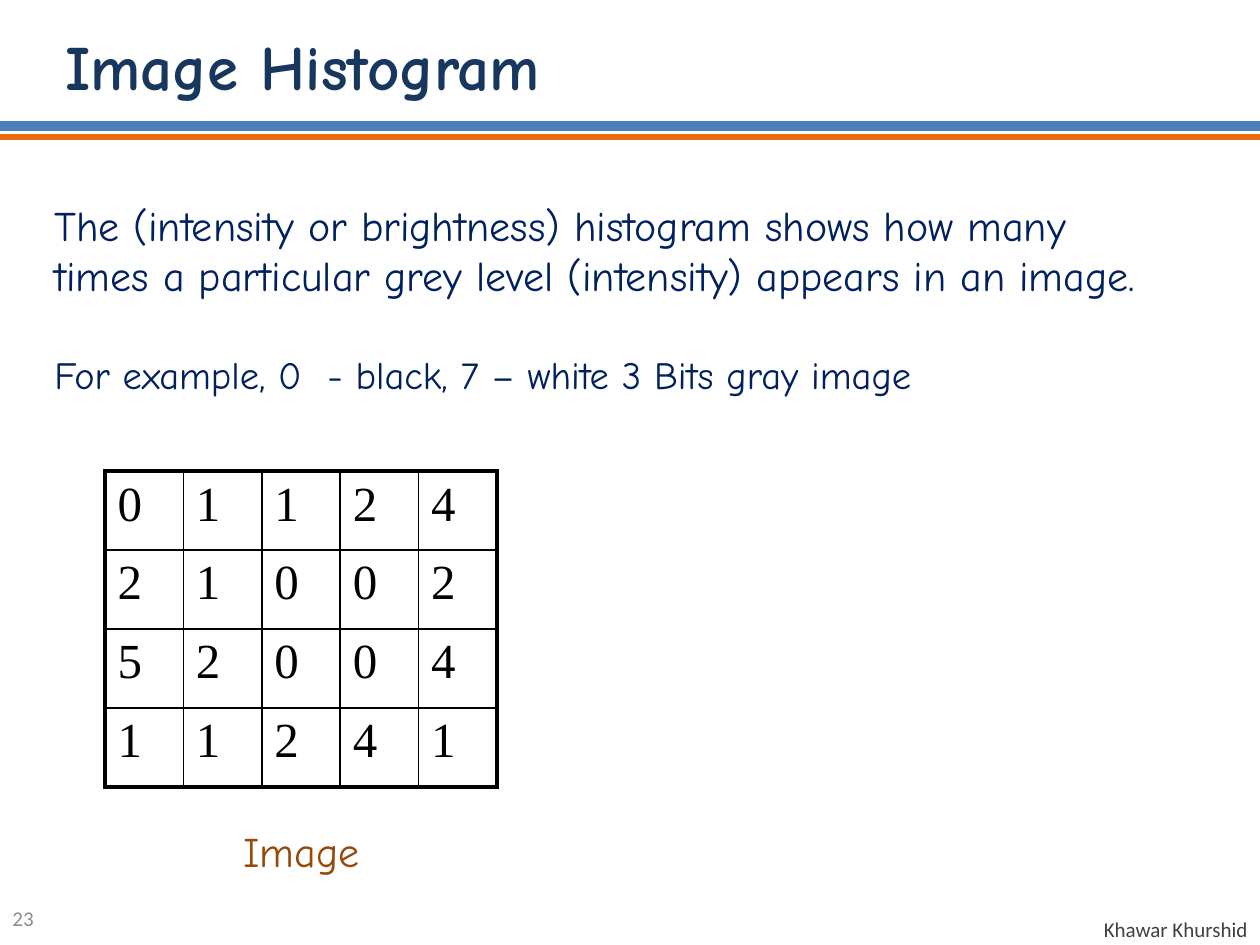
import pptx
import pptx.dml.color
import pptx.enum.shapes
import pptx.enum.text
import pptx.oxml.ns
import pptx.util
from lxml import etree

RGBColor = pptx.dml.color.RGBColor
NAVY = RGBColor(0x17, 0x37, 0x5E)
BLUE = RGBColor(0x00, 0x20, 0x60)
BROWN = RGBColor(0x98, 0x48, 0x07)
BLACK = RGBColor(0x00, 0x00, 0x00)
RULE_BLUE = RGBColor(0x4B, 0x7E, 0xBC)
RULE_ORANGE = RGBColor(0xE4, 0x6C, 0x0A)
GREY = RGBColor(0x8C, 0x8C, 0x8C)
DARK_GREY = RGBColor(0x40, 0x40, 0x40)

COMIC = "Comic Neue"
PX_PER_INCH = 126
PAGE_WIDTH, PAGE_HEIGHT = 1260, 945
TOP = pptx.enum.text.MSO_ANCHOR.TOP
MIDDLE = pptx.enum.text.MSO_ANCHOR.MIDDLE
LEFT = pptx.enum.text.PP_ALIGN.LEFT
RIGHT = pptx.enum.text.PP_ALIGN.RIGHT

PIXELS = [
    [0, 1, 1, 2, 4],
    [2, 1, 0, 0, 2],
    [5, 2, 0, 0, 4],
    [1, 1, 2, 4, 1],
]


def px(length):
    """Turn a length in px into EMU."""
    return pptx.util.Emu(round(length * 914400 / PX_PER_INCH))


def add_span(para, text, size, color, font=COMIC, bold=False):
    """Add one formatted run to a paragraph."""
    span = para.add_run()
    span.text = text
    span.font.name = font
    span.font.size = pptx.util.Pt(size)
    span.font.bold = bold
    span.font.color.rgb = color


def add_box(page, left, top, width, height, anchor=TOP):
    """Add an empty wrapping text box and return its text frame."""
    frame = page.shapes.add_textbox(px(left), px(top), px(width), px(height)).text_frame
    frame.word_wrap = True
    frame.vertical_anchor = anchor
    return frame


def add_label(page, left, top, width, height, text, size, color,
              font=COMIC, bold=False, anchor=TOP, align=LEFT):
    """Add a text box that holds a single line."""
    para = add_box(page, left, top, width, height, anchor).paragraphs[0]
    para.alignment = align
    add_span(para, text, size, color, font, bold)


def add_rule(page, left, top, width, color, weight):
    """Add a horizontal line without a shadow."""
    rule = page.shapes.add_connector(
        pptx.enum.shapes.MSO_CONNECTOR.STRAIGHT,
        px(left), px(top), px(left + width), px(top))
    rule.line.color.rgb = color
    rule.line.width = pptx.util.Pt(weight)
    etree.SubElement(rule._element.spPr, pptx.oxml.ns.qn("a:effectLst"))


def add_header(page, left, top, width):
    """Add the title and the two rules under it."""
    add_label(page, left + 53, top + 21, 1018, 95, "Image Histogram", 36, NAVY, bold=True)
    add_rule(page, left, top + 126, width, RULE_BLUE, 6)
    add_rule(page, left, top + 137, width, RULE_ORANGE, 3)


def add_explanation(page, left, top, width, height):
    """Add the definition of the histogram and its example."""
    lines = [
        ("The (intensity or brightness) histogram shows how many", 24, 0),
        ("times a particular grey level (intensity) appears in an image.", 24, 0),
        ("For example, 0  - black, 7 – white 3 Bits gray image", 22, 29),
    ]
    frame = add_box(page, left, top, width, height)
    for index, (text, size, gap) in enumerate(lines):
        para = frame.add_paragraph() if index else frame.paragraphs[0]
        para.space_before = pptx.util.Pt(gap)
        add_span(para, text, size, BLUE)


def set_borders(cell, weights):
    """Draw the cell's edges, with weights in points keyed by L, R, T and B."""
    qn = pptx.oxml.ns.qn
    properties = cell._tc.get_or_add_tcPr()
    for index, (side, weight) in enumerate(weights.items()):
        edge = etree.Element(qn(f"a:ln{side}"), w=str(pptx.util.Pt(weight)))
        fill = etree.SubElement(edge, qn("a:solidFill"))
        etree.SubElement(fill, qn("a:srgbClr"), val=str(BLACK))
        properties.insert(index, edge)


def add_pixel_grid(page, left, top, width, height):
    """Add the table of grey levels with a heavy outer frame."""
    rows, columns = len(PIXELS), len(PIXELS[0])
    table = page.shapes.add_table(
        rows, columns, px(left), px(top), px(width), px(height)).table
    table.first_row = False
    table.horz_banding = False
    for column in table.columns:
        column.width = px(width / columns)
    for row in table.rows:
        row.height = px(height / rows)
    for r, levels in enumerate(PIXELS):
        for c, level in enumerate(levels):
            cell = table.cell(r, c)
            cell.fill.background()
            outer = {"L": c == 0, "R": c == columns - 1, "T": r == 0, "B": r == rows - 1}
            set_borders(cell, {side: 2.25 if edge else 1 for side, edge in outer.items()})
            add_span(cell.text_frame.paragraphs[0], str(level), 28, BLACK, "Times New Roman")


def add_example(page, left, top, width, height):
    """Add the sample image grid and its caption."""
    add_pixel_grid(page, left, top, width, height)
    add_label(page, left + 126, top + height + 32, 149, 63, "Image", 24, BROWN)


def add_footer(page, left, top, width):
    """Add the page number and the author."""
    add_label(page, left, top, 294, 50, "23", 12, GREY, "Calibri", anchor=MIDDLE)
    add_label(page, left + width - 231, top + 20, 231, 32, "Khawar Khurshid", 12,
              DARK_GREY, "Calibri", anchor=MIDDLE, align=RIGHT)


def main():
    """Build the deck and save it."""
    deck = pptx.Presentation()
    deck.slide_width = px(PAGE_WIDTH)
    deck.slide_height = px(PAGE_HEIGHT)
    page = deck.slides.add_slide(deck.slide_layouts[6])
    add_example(page, 105, 471, 392, 316)
    add_explanation(page, 42, 193, 1201, 212)
    add_header(page, 0, 0, PAGE_WIDTH)
    add_footer(page, 0, 893, PAGE_WIDTH)
    deck.save("out.pptx")


if __name__ == "__main__":
    main()
